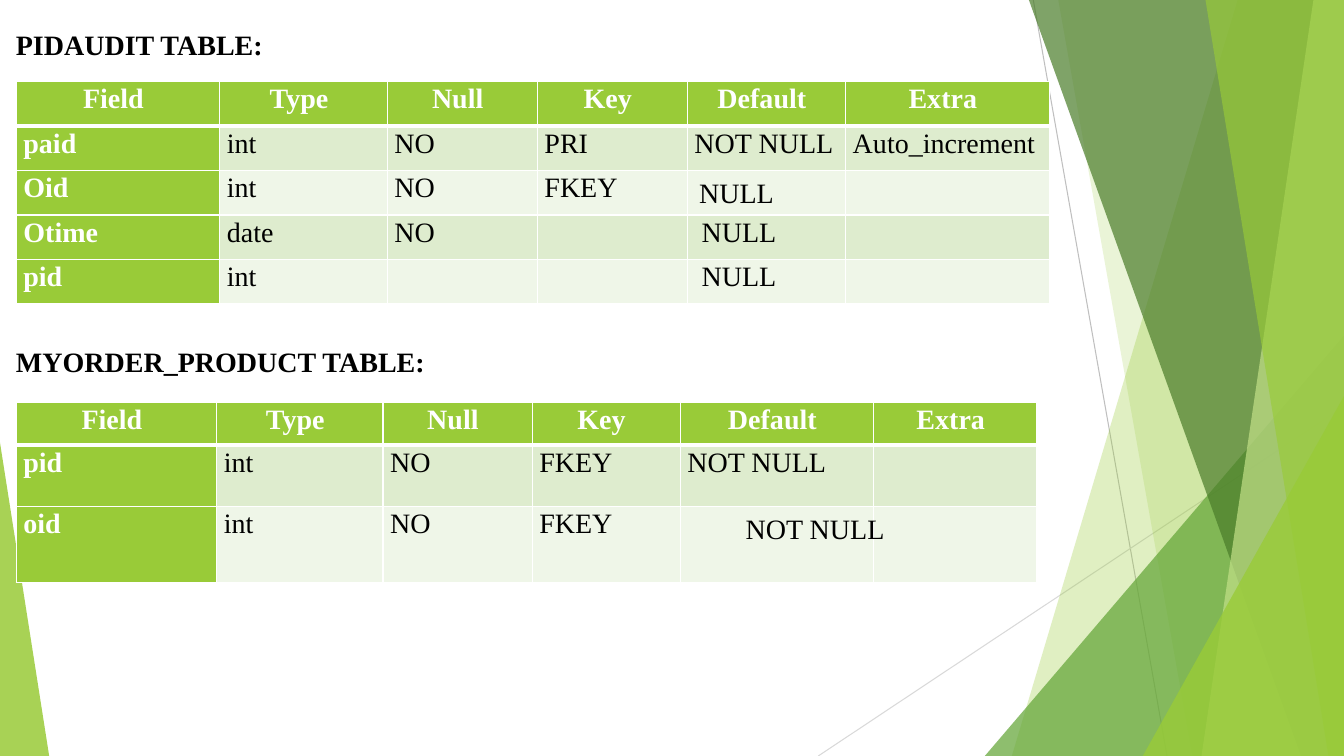
from dataclasses import dataclass

from lxml import etree
from pptx import Presentation
from pptx.dml.color import RGBColor
from pptx.enum.shapes import MSO_CONNECTOR, MSO_SHAPE
from pptx.enum.text import PP_ALIGN
from pptx.oxml.ns import qn
from pptx.util import Cm, Pt

STRAIGHT = MSO_CONNECTOR.STRAIGHT
TRIANGLE = MSO_SHAPE.ISOSCELES_TRIANGLE
CENTER, LEFT = PP_ALIGN.CENTER, PP_ALIGN.LEFT

SLIDE_W, SLIDE_H = 33.87, 19.05


@dataclass(frozen=True)
class Theme:
    font: str = "Times New Roman"
    size: float = 20
    space_after: float = 5.5
    line_spacing: float = 1.07
    lime: str = "99CB38"
    green: str = "63A537"
    dark_green: str = "4A7C29"
    pale_lime: str = "C2E088"
    bands: tuple = ("DEECCE", "EFF6E8")
    white: str = "FFFFFF"
    black: str = "000000"
    grey: str = "BFBFBF"
    light_grey: str = "D9D9D9"


THEME = Theme()

HEADERS = ["Field", "Type", "Null", "Key", "Default", "Extra"]
PIDAUDIT_ROWS = [
    ["paid", "int", "NO", "PRI", "NOT NULL", "Auto_increment"],
    ["Oid", "int", "NO", "FKEY", "", ""],
    ["Otime", "date", "NO", "", "NULL", ""],
    ["pid", "int", "", "", "NULL", ""],
]
ORDER_PRODUCT_ROWS = [
    ["pid", "int", "NO", "FKEY", "NOT NULL", ""],
    ["oid", "int", "NO", "FKEY", "", ""],
]


def rgb(color):
    return RGBColor.from_string(color)


def fill_translucent(sp, color, opacity):
    sp.shadow.inherit = False
    sp.line.fill.background()
    sp.fill.solid()
    sp.fill.fore_color.rgb = rgb(color)
    clr = sp.fill._xPr.find(qn("a:solidFill")).find(qn("a:srgbClr"))
    etree.SubElement(clr, qn("a:alpha"), val=str(opacity * 1000))


def add_ray(slide, x1, y1, x2, y2, color):
    line = slide.shapes.add_connector(STRAIGHT, Cm(x1), Cm(y1), Cm(x2), Cm(y2))
    line.line.color.rgb = rgb(color)
    line.line.width = Pt(0.75)
    etree.SubElement(line._element.spPr, qn("a:effectLst"))


def add_panel(slide, top_x, bottom_x, color, opacity):
    """Fill the slide from a slanted left edge to its right side."""
    builder = slide.shapes.build_freeform(Cm(top_x), 0)
    corners = [(SLIDE_W, 0), (SLIDE_W, SLIDE_H), (bottom_x, SLIDE_H)]
    builder.add_line_segments([(Cm(x), Cm(y)) for x, y in corners])
    fill_translucent(builder.convert_to_shape(), color, opacity)


def add_corner(slide, x, width, height, apex, color, opacity):
    """Add a triangle standing on the bottom edge of the slide."""
    sp = slide.shapes.add_shape(
        TRIANGLE, Cm(x), Cm(SLIDE_H - height), Cm(width), Cm(height))
    sp.adjustments[0] = apex
    fill_translucent(sp, color, opacity)


def add_facets(slide):
    t = THEME
    add_ray(slide, 26.04, 0, 29.41, SLIDE_H, t.grey)
    add_ray(slide, SLIDE_W, 10.24, 20.62, SLIDE_H, t.light_grey)
    add_panel(slide, 31.19, 25.5, t.lime, 30)
    add_panel(slide, 26.67, 30.05, t.lime, 20)
    add_corner(slide, 24.82, 9.05, 10.59, 1, t.green, 72)
    add_panel(slide, 25.93, 32.79, t.dark_green, 70)
    add_panel(slide, 33.1, 30.28, t.pale_lime, 70)
    add_panel(slide, 30.38, 33.48, t.lime, 65)
    add_corner(slide, 28.8, 5.07, 9.07, 1, t.lime, 80)
    add_corner(slide, 0, 1.24, 7.9, 0, t.lime, 85)


def style_runs(p, color, bold):
    for r in p.runs:
        r.font.name = THEME.font
        r.font.size = Pt(THEME.size)
        r.font.bold = bold
        r.font.color.rgb = rgb(color)


def add_text(slide, text, x, y, width, height, bold=False, top_inset=0.13):
    tf = slide.shapes.add_textbox(Cm(x), Cm(y), Cm(width), Cm(height)).text_frame
    tf.word_wrap = True
    tf.margin_top = Cm(top_inset)
    tf.text = text
    style_runs(tf.paragraphs[0], THEME.black, bold)


def add_title(slide, text, y, width):
    add_text(slide, text, 0.15, y, width, 2.13, bold=True, top_inset=0.21)


def set_borders(cell, top, bottom):
    tc_pr = cell._tc.get_or_add_tcPr()
    for side, width in (("L", 1), ("R", 1), ("T", top), ("B", bottom)):
        ln = etree.SubElement(tc_pr, qn(f"a:ln{side}"), w=str(Pt(width)))
        fill = etree.SubElement(ln, qn("a:solidFill"))
        etree.SubElement(fill, qn("a:srgbClr"), val=THEME.white)


def fill_cell(cell, text, row, col):
    header, accent = row == 0, row == 0 or col == 0
    set_borders(cell, 3 if row == 1 else 1, 3 if header else 1)
    cell.fill.solid()
    cell.fill.fore_color.rgb = rgb(
        THEME.lime if accent else THEME.bands[(row - 1) % 2])
    cell.margin_top = cell.margin_bottom = 0
    cell.margin_left = Cm(0.05 if header else 0.36 if text == "NULL" else 0.18)
    cell.margin_right = Cm(0.28 if header else 0.1)
    cell.text = text
    p = cell.text_frame.paragraphs[0]
    p.alignment = CENTER if header else LEFT
    p.line_spacing = THEME.line_spacing
    p.space_after = Pt(THEME.space_after)
    style_runs(p, THEME.white if accent else THEME.black, accent)


def add_schema(slide, y, col_widths, row_heights, rows):
    table = slide.shapes.add_table(
        len(row_heights), len(col_widths), Cm(0.41), Cm(y),
        Cm(sum(col_widths)), Cm(sum(row_heights))).table
    for column, width in zip(table.columns, col_widths):
        column.width = Cm(width)
    for row, height in zip(table.rows, row_heights):
        row.height = Cm(height)
    for i, values in enumerate([HEADERS] + rows):
        for j, text in enumerate(values):
            fill_cell(table.cell(i, j), text, i, j)


def main():
    prs = Presentation()
    prs.slide_width, prs.slide_height = Cm(SLIDE_W), Cm(SLIDE_H)
    slide = prs.slides.add_slide(prs.slide_layouts[6])
    add_facets(slide)

    add_schema(slide, 2.06, [5.13, 4.22, 3.78, 3.78, 3.99, 5.13],
               [1.12] * 5, PIDAUDIT_ROWS)
    add_title(slide, "PIDAUDIT TABLE:", 0.48, 7.01)
    add_schema(slide, 10.13, [5.05, 4.19, 3.76, 3.73, 4.88, 4.11],
               [1.09, 1.55, 1.9], ORDER_PRODUCT_ROWS)
    add_title(slide, "MYORDER_PRODUCT TABLE:", 8.46, 11.13)
    add_text(slide, "NULL", 17.37, 4.29, 3.25, 1.12)
    add_text(slide, "NOT NULL", 18.54, 12.75, 4.6, 1.12)

    prs.save("out.pptx")


if __name__ == "__main__":
    main()
